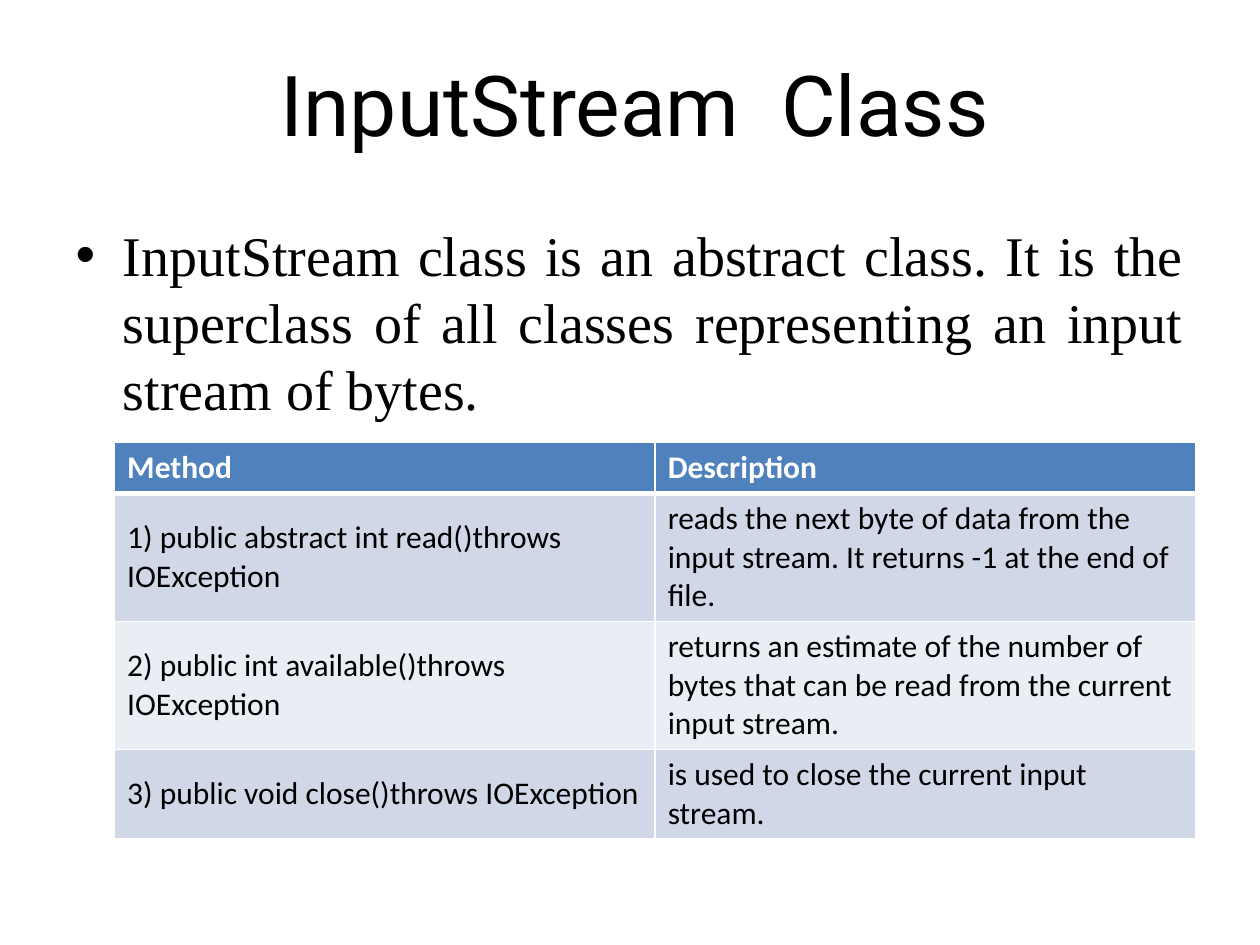
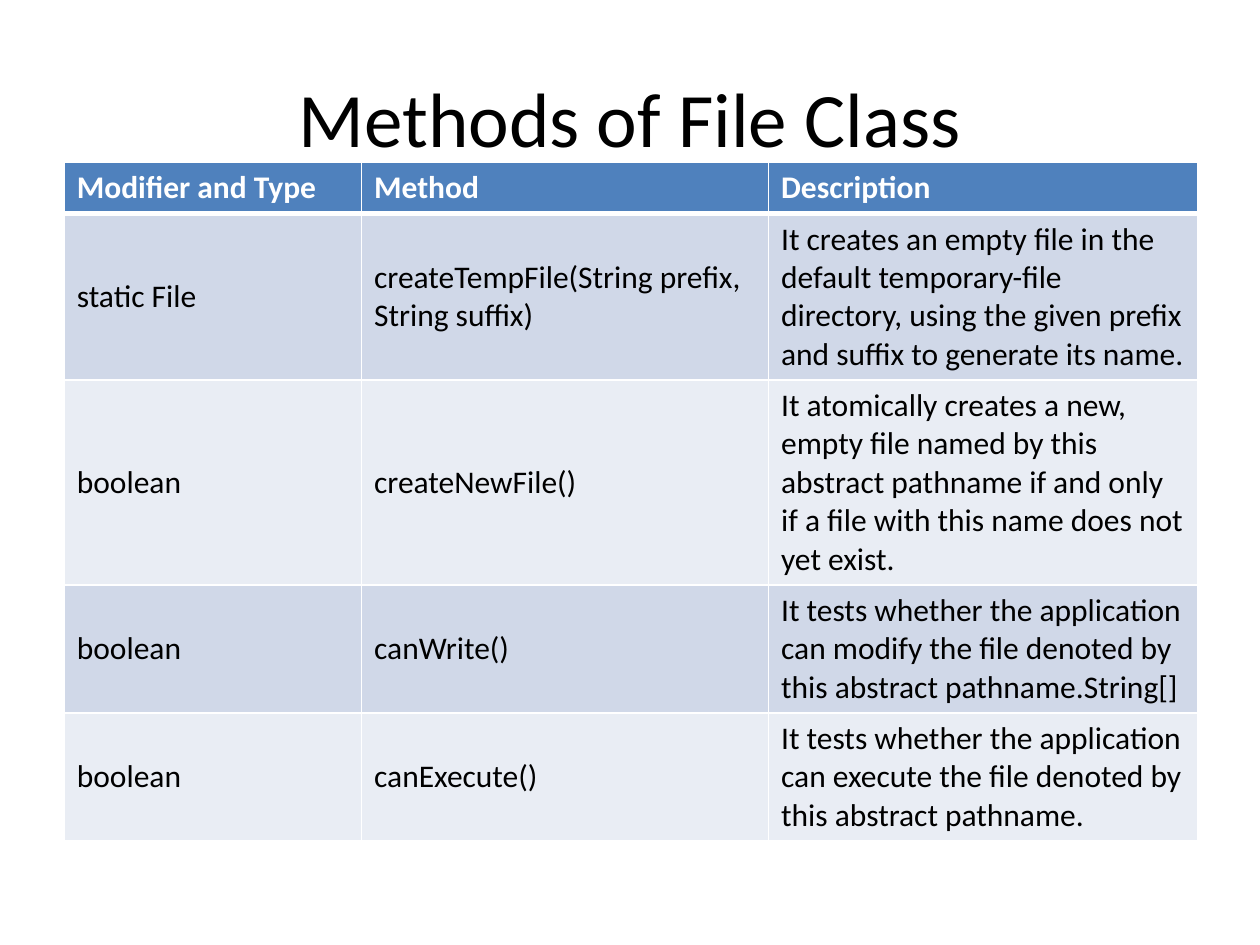
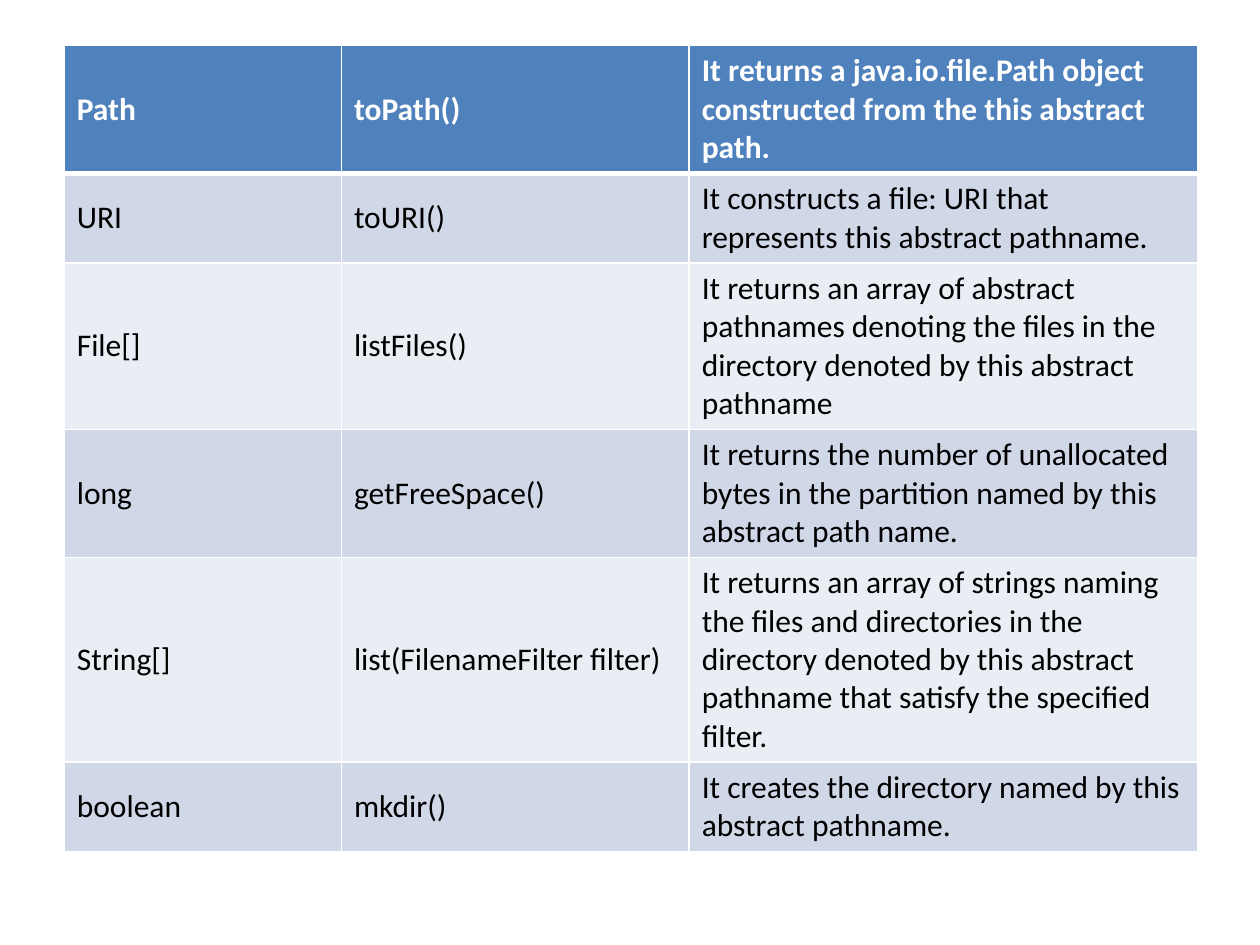
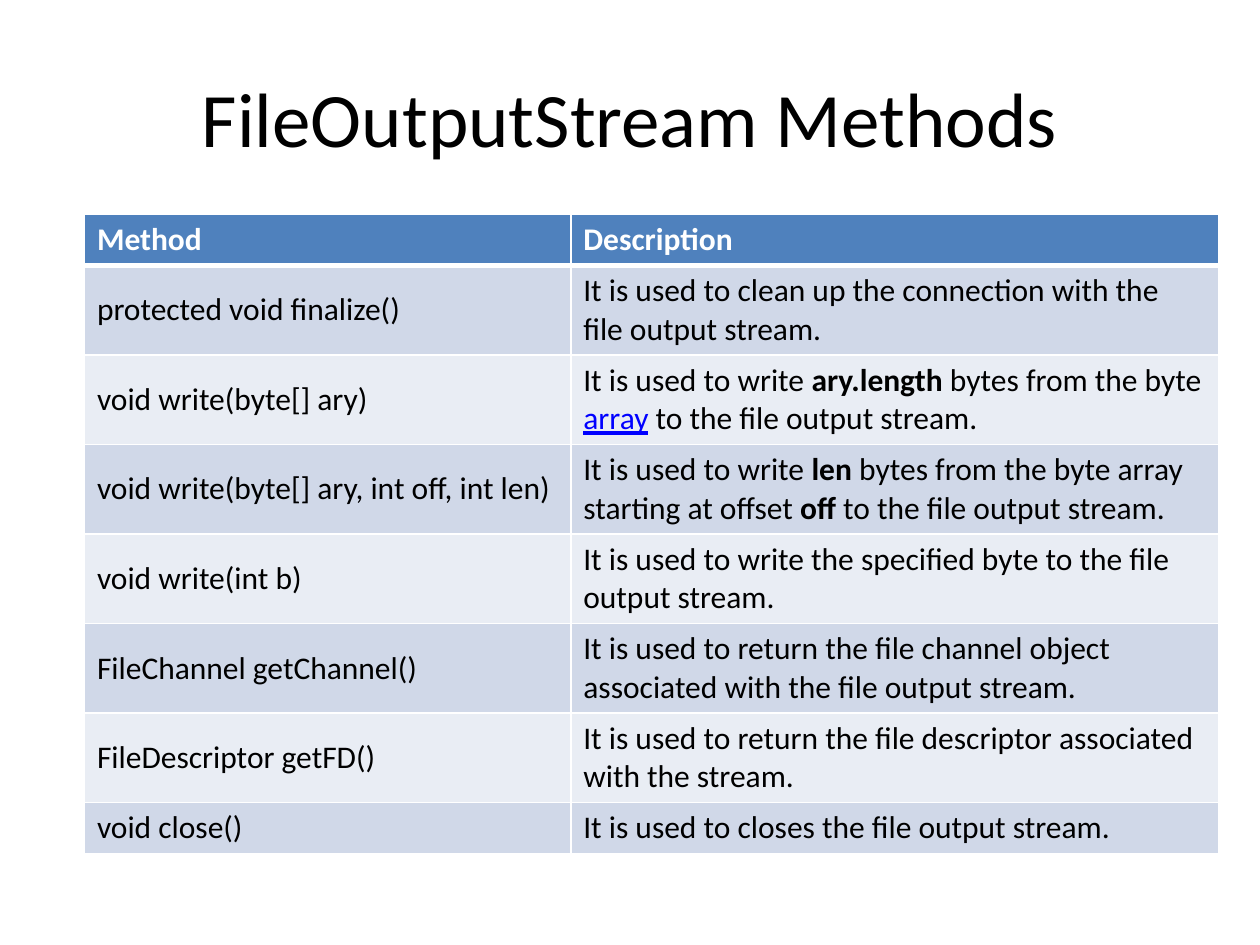
import pptx
import pptx.util
import pptx.dml.color
import pptx.enum.text
import pptx.oxml

Pt = pptx.util.Pt
COLORS = {"text": "000000", "header": "4F81BD", "header_text": "FFFFFF", "odd": "D0D8E8",
          "even": "E9EDF4", "border": "FFFFFF", "link": "0000FF"}
FONT = "Calibri"
TITLE_BOX = (36, 21.6, 648, 90)
BODY_BOX = (36, 122.4, 648, 360)
ROW_HEIGHT = 29.2
LAYOUTS = {"body": 1, "title": 5, "blank": 6}

SLIDES = [
    {"layout": "body",
     "title": "InputStream  Class", "title_box": (138.96, 25.92, 447.84, 65.52),
     "title_font": "Roboto", "title_size": 48,
     "body": "InputStream class is an abstract class. It is the superclass of all classes "
             "representing an input stream of bytes.",
     "table_at": (65.52, 252.72), "table_height": 223.92, "cols": (308.88, 308.88),
     "rows": [
         ("Method", "Description"),
         ("1) public abstract int read()throws IOException",
          "reads the next byte of data from the input stream. It returns -1 at the end of file."),
         ("2) public int available()throws IOException",
          "returns an estimate of the number of bytes that can be read from the current input stream."),
         ("3) public void close()throws IOException",
          "is used to close the current input stream."),
     ]},
    {"layout": "title",
     "title": "Methods of File Class",
     "table_at": (36.72, 92.88), "table_height": 382.32, "cols": (169.92, 232.56, 245.52),
     "rows": [
         ("Modifier and Type", "Method", "Description"),
         ("static File", "createTempFile(String prefix, String suffix)",
          "It creates an empty file in the default temporary-file directory, using the given "
          "prefix and suffix to generate its name."),
         ("boolean", "createNewFile()",
          "It atomically creates a new, empty file named by this abstract pathname if and only "
          "if a file with this name does not yet exist."),
         ("boolean", "canWrite()",
          "It tests whether the application can modify the file denoted by this abstract "
          "pathname.String[]"),
         ("boolean", "canExecute()",
          "It tests whether the application can execute the file denoted by this abstract pathname."),
     ]},
    {"layout": "blank",
     "table_at": (36.72, 25.92), "table_height": 453.6, "cols": (158.4, 198.72, 290.88),
     "rows": [
         ("Path", "toPath()",
          "It returns a java.io.file.Path object constructed from the this abstract path."),
         ("URI", "toURI()",
          "It constructs a file: URI that represents this abstract pathname."),
         ("File[]", "listFiles()",
          "It returns an array of abstract pathnames denoting the files in the directory "
          "denoted by this abstract pathname"),
         ("long", "getFreeSpace()",
          "It returns the number of unallocated bytes in the partition named by this abstract "
          "path name."),
         ("String[]", "list(FilenameFilter filter)",
          "It returns an array of strings naming the files and directories in the directory "
          "denoted by this abstract pathname that satisfy the specified filter."),
         ("boolean", "mkdir()", "It creates the directory named by this abstract pathname."),
     ]},
    {"layout": "title",
     "title": "FileOutputStream Methods",
     "table_at": (48.24, 122.4), "table_height": 360.72, "cols": (277.92, 370.08),
     "rows": [
         ("Method", "Description"),
         ("protected void finalize()",
          "It is used to clean up the connection with the file output stream."),
         ("void write(byte[] ary)",
          [("It is used to write ", ""), ("ary.length", "bold"), (" bytes from the byte ", ""),
           ("array", "link"), (" to the file output stream.", "")]),
         ("void write(byte[] ary, int off, int len)",
          [("It is used to write ", ""), ("len", "bold"),
           (" bytes from the byte array starting at offset ", ""), ("off", "bold"),
           (" to the file output stream.", "")]),
         ("void write(int b)",
          "It is used to write the specified byte to the file output stream."),
         ("FileChannel getChannel()",
          "It is used to return the file channel object associated with the file output stream."),
         ("FileDescriptor getFD()",
          "It is used to return the file descriptor associated with the stream."),
         ("void close()", "It is used to closes the file output stream."),
     ]},
]


def rgb(name):
    return pptx.dml.color.RGBColor.from_string(COLORS[name])


def add_run(p, text, size, font=FONT, color="text", bold=False):
    r = p.add_run()
    r.text = text
    r.font.name = font
    r.font.size = Pt(size)
    r.font.bold = bold
    r.font.color.rgb = rgb(color)
    return r


def place(sp, box):
    sp.left, sp.top, sp.width, sp.height = map(Pt, box)


def fill_placeholder(sp, box, text, align, size, font):
    place(sp, box)
    p = sp.text_frame.paragraphs[0]
    p.alignment = align
    add_run(p, text, size, font)


def set_borders(cell, top, bottom):
    tcPr = cell._tc.get_or_add_tcPr()
    for i, (side, width) in enumerate((("L", 1), ("R", 1), ("T", top), ("B", bottom))):
        tcPr.insert(i, pptx.oxml.parse_xml(
            f'<a:ln{side} xmlns:a="http://schemas.openxmlformats.org/drawingml/2006/main" '
            f'w="{Pt(width)}"><a:solidFill><a:srgbClr val="{COLORS["border"]}"/></a:solidFill>'
            f'</a:ln{side}>'))


def fill_cell(cell, content, row):
    header = row == 0
    cell.vertical_anchor = pptx.enum.text.MSO_ANCHOR.MIDDLE
    cell.fill.solid()
    cell.fill.fore_color.rgb = rgb("header" if header else "odd" if row % 2 else "even")
    set_borders(cell, top=3 if row == 1 else 1, bottom=3 if header else 1)
    p = cell.text_frame.paragraphs[0]
    runs = [(content, "")] if isinstance(content, str) else content
    for text, style in runs:
        color = "header_text" if header else "link" if style == "link" else "text"
        r = add_run(p, text, 18, color=color, bold=header or style == "bold")
        if style == "link":
            r.font.underline = True


def add_method_table(s, spec):
    rows, cols = spec["rows"], spec["cols"]
    frame = s.shapes.add_table(len(rows), len(cols), *map(Pt, spec["table_at"]),
                               Pt(sum(cols)), Pt(spec["table_height"]))
    table = frame.table
    for column, width in zip(table.columns, cols):
        column.width = Pt(width)
    for i, row in enumerate(rows):
        table.rows[i].height = Pt(ROW_HEIGHT)
        for j, content in enumerate(row):
            fill_cell(table.cell(i, j), content, i)
    frame.height = Pt(spec["table_height"])


def main():
    align = pptx.enum.text.PP_ALIGN
    prs = pptx.Presentation()
    prs.slide_width, prs.slide_height = Pt(720), Pt(540)
    for spec in SLIDES:
        s = prs.slides.add_slide(prs.slide_layouts[LAYOUTS[spec["layout"]]])
        if "title" in spec:
            fill_placeholder(s.shapes.title, spec.get("title_box", TITLE_BOX), spec["title"],
                             align.CENTER, spec.get("title_size", 44),
                             spec.get("title_font", FONT))
        if "body" in spec:
            fill_placeholder(s.placeholders[1], BODY_BOX, spec["body"],
                             align.JUSTIFY, 32, "Times New Roman")
        add_method_table(s, spec)
    prs.save("out.pptx")


if __name__ == "__main__":
    main()
